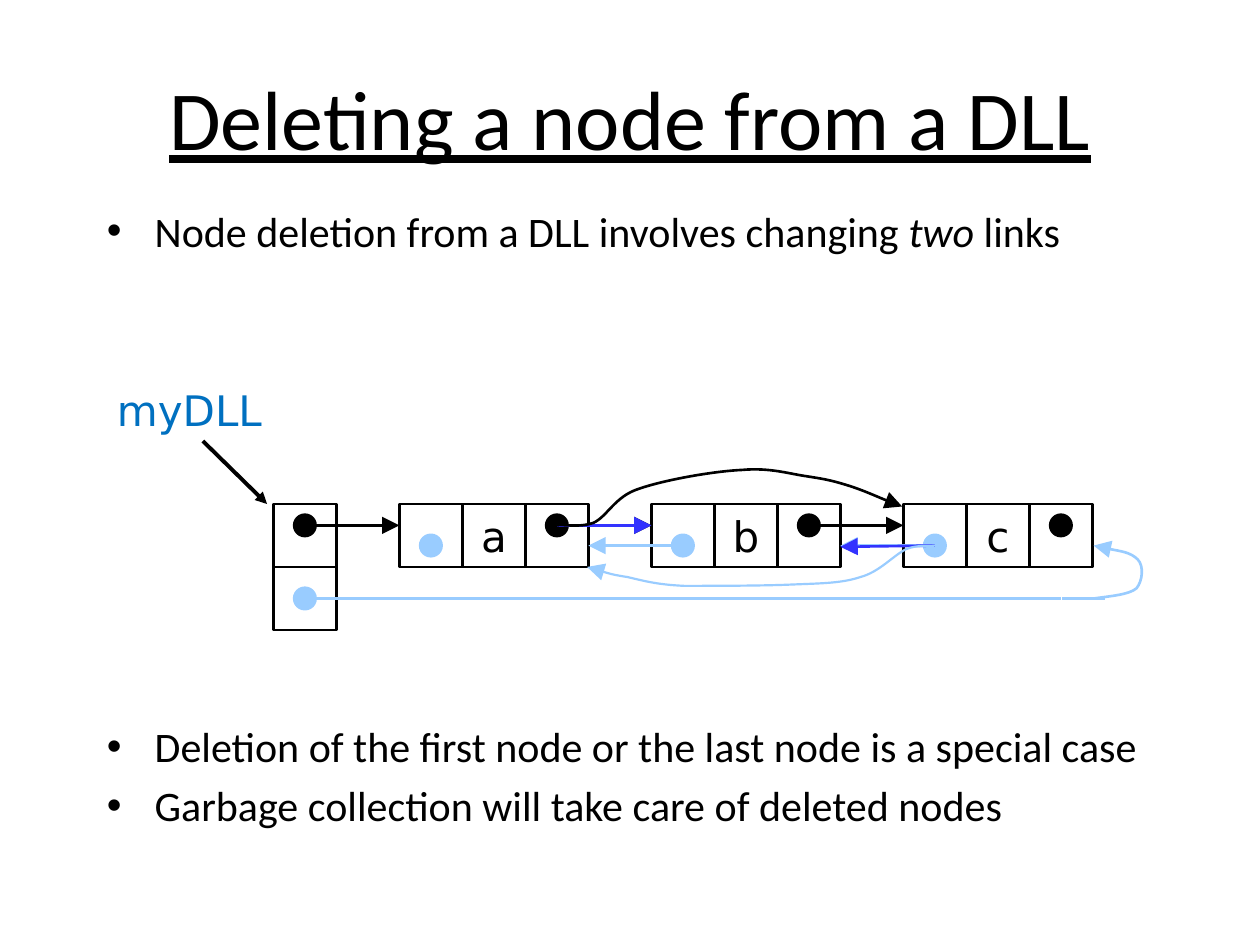
from dataclasses import dataclass

from lxml.etree import SubElement
from pptx import Presentation
from pptx.dml.color import RGBColor
from pptx.enum.shapes import MSO_CONNECTOR, MSO_SHAPE
from pptx.enum.text import MSO_ANCHOR, PP_ALIGN
from pptx.oxml.ns import qn
from pptx.util import Inches, Pt

BLACK = RGBColor(0x00, 0x00, 0x00)
LABEL_BLUE = RGBColor(0x00, 0x70, 0xC0)
LIGHT_BLUE = RGBColor(0x99, 0xCC, 0xFF)
VIVID_BLUE = RGBColor(0x33, 0x33, 0xFF)
CELL, DOT = 0.5, 0.17
ROW = 4.0
NEXT_Y, PREV_Y, LAST_Y = 4.17, 4.33, 4.75
HEADER_X = 2.17
NODES = {"a": 3.17, "b": 5.17, "c": 7.17}

Point = tuple[float, float]


@dataclass
class Link:
    """A straight line, with an arrowhead of the given size if any."""
    start: Point
    end: Point
    color: RGBColor = BLACK
    width: float = 1.5
    head: str = "lg"


@dataclass
class Curve:
    """A chain of cubic Bezier segments ending in an arrowhead."""
    points: list[Point]
    color: RGBColor
    width: float = 1.5


@dataclass
class TextBlock:
    """A text box whose paragraphs are lists of (text, italic) runs."""
    box: tuple[float, float, float, float]
    paragraphs: list[list[tuple[str, bool]]]
    font: dict
    bullet: bool = False
    align: PP_ALIGN = PP_ALIGN.LEFT
    anchor: MSO_ANCHOR = MSO_ANCHOR.TOP


BODY = {"name": "Calibri", "size": Pt(24)}
LETTER = {"name": "DejaVu Sans", "size": Pt(24)}

TEXTS = [
    TextBlock((0.5, 0.3, 9, 1.25), [[("Deleting a node from a DLL", False)]],
              {"name": "Calibri", "size": Pt(48), "underline": True},
              align=PP_ALIGN.CENTER, anchor=MSO_ANCHOR.MIDDLE),
    TextBlock((0.75, 1.58, 8.5, 0.68),
              [[("Node deletion from a DLL involves changing ", False),
                ("two", True), (" links", False)]], BODY, bullet=True),
    TextBlock((0.75, 5.67, 8.5, 1.33),
              [[("Deletion of the first node or the last node is a special case", False)],
               [("Garbage collection will take care of deleted nodes", False)]],
              BODY, bullet=True),
]
NAME = TextBlock((0.83, 3, 1.42, 0.5), [[("myDLL", False)]], LETTER)

LINKS = [
    Link((1.61, 3.5), (2.12, 4), width=2.25, head="med"),
    Link((2.42, NEXT_Y), (3.17, NEXT_Y)),
    Link((4.42, NEXT_Y), (5.17, NEXT_Y)),
    Link((6.42, NEXT_Y), (7.17, NEXT_Y)),
    Link((5.42, PREV_Y), (4.67, PREV_Y), LIGHT_BLUE),
    Link((7.42, PREV_Y), (6.67, PREV_Y), LIGHT_BLUE),
    Link((2.42, LAST_Y), (5.92, LAST_Y), LIGHT_BLUE, head=""),
    Link((5.92, LAST_Y), (8.42, LAST_Y), LIGHT_BLUE, head=""),
    Link((8.77, LAST_Y), (8.43, LAST_Y), LIGHT_BLUE, head=""),
    Link((7.42, PREV_Y), (6.67, 4.34), VIVID_BLUE),
    Link((4.42, NEXT_Y), (5.17, NEXT_Y), VIVID_BLUE),
]

CURVES = [
    Curve([(8.68, 4.75), (8.82, 4.73), (8.96, 4.72), (9.02, 4.67),
           (9.07, 4.61), (9.08, 4.49), (9.03, 4.44),
           (8.97, 4.38), (8.76, 4.35), (8.68, 4.33)], LIGHT_BLUE),
    Curve([(4.42, 4.17), (4.47, 4.16), (4.6, 4.19), (4.71, 4.15),
           (4.82, 4.1), (4.88, 3.94), (5.07, 3.88),
           (5.27, 3.81), (5.66, 3.74), (5.89, 3.73),
           (6.11, 3.71), (6.26, 3.76), (6.4, 3.78),
           (6.53, 3.8), (6.59, 3.81), (6.72, 3.85),
           (6.85, 3.89), (7.07, 3.99), (7.16, 4.02)], BLACK),
    Curve([(7.42, 4.33), (7.38, 4.34), (7.28, 4.32), (7.19, 4.36),
           (7.09, 4.41), (6.98, 4.54), (6.83, 4.58),
           (6.68, 4.63), (6.52, 4.63), (6.28, 4.64),
           (6.05, 4.65), (5.64, 4.65), (5.43, 4.65),
           (5.21, 4.64), (5.11, 4.61), (4.98, 4.58),
           (4.85, 4.56), (4.72, 4.52), (4.66, 4.5)], LIGHT_BLUE, 1.25),
]


def add_run(p, text: str, font: dict, color: RGBColor) -> None:
    r = p.add_run()
    r.text = text
    for name, value in font.items():
        setattr(r.font, name, value)
    r.font.color.rgb = color


def add_text(shapes, block: TextBlock, color: RGBColor = BLACK) -> None:
    tf = shapes.add_textbox(*map(Inches, block.box)).text_frame
    tf.word_wrap = True
    tf.vertical_anchor = block.anchor
    for i, runs in enumerate(block.paragraphs):
        p = tf.paragraphs[0] if i == 0 else tf.add_paragraph()
        p.alignment = block.align
        if block.bullet:
            p.space_before = Pt(4.8)
            pPr = p._p.get_or_add_pPr()
            pPr.set("marL", str(Inches(0.38)))
            pPr.set("indent", str(Inches(-0.38)))
            SubElement(pPr, qn("a:buFont"), typeface="Arial")
            SubElement(pPr, qn("a:buChar"), char="•")
        for text, italic in runs:
            add_run(p, text, block.font | {"italic": italic}, color)


def set_line(s, color: RGBColor, width: float, head: str = "") -> None:
    s.line.color.rgb = color
    s.line.width = Pt(width)
    if head:
        SubElement(s.line._get_or_add_ln(), qn("a:tailEnd"),
                   type="triangle", w=head, len=head)


def add_cell(shapes, x: float, y: float, letter: str = "") -> None:
    s = shapes.add_shape(MSO_SHAPE.RECTANGLE, *map(Inches, (x, y, CELL, CELL)))
    s.shadow.inherit = False
    s.fill.background()
    set_line(s, BLACK, 1 if letter else 1.5)
    if letter:
        tf = s.text_frame
        tf.word_wrap = False
        tf.vertical_anchor = MSO_ANCHOR.MIDDLE
        tf.paragraphs[0].alignment = PP_ALIGN.CENTER
        add_run(tf.paragraphs[0], letter, LETTER, BLACK)


def add_dot(shapes, x: float, y: float, color: RGBColor) -> None:
    s = shapes.add_shape(MSO_SHAPE.OVAL, Inches(x - DOT / 2), Inches(y - DOT / 2),
                         Inches(DOT), Inches(DOT))
    s.shadow.inherit = False
    s.fill.solid()
    s.fill.fore_color.rgb = color
    set_line(s, color, 1.5)


def add_link(shapes, link: Link) -> None:
    s = shapes.add_connector(MSO_CONNECTOR.STRAIGHT,
                             *map(Inches, link.start + link.end))
    set_line(s, link.color, link.width, link.head)
    SubElement(s._element.spPr, qn("a:effectLst"))


def add_curve(shapes, curve: Curve) -> None:
    start, *rest = [(Inches(x), Inches(y)) for x, y in curve.points]
    builder = shapes.build_freeform(*start)
    builder.add_line_segments(rest, close=False)
    s = builder.convert_to_shape()
    s.shadow.inherit = False
    s.fill.background()
    set_line(s, curve.color, curve.width, "lg")
    outline = next(s._element.iter(qn("a:path")))
    steps = outline.findall(qn("a:lnTo"))
    for i in range(0, len(steps), 3):
        bezier = SubElement(outline, qn("a:cubicBezTo"))
        for step in steps[i:i + 3]:
            bezier.append(step[0])
            outline.remove(step)


def main() -> None:
    prs = Presentation()
    prs.slide_width, prs.slide_height = Inches(10), Inches(7.5)
    shapes = prs.slides.add_slide(prs.slide_layouts[6]).shapes
    for block in TEXTS:
        add_text(shapes, block)
    add_text(shapes, NAME, LABEL_BLUE)
    for y, dot_y, color in ((ROW, NEXT_Y, BLACK), (ROW + CELL, LAST_Y, LIGHT_BLUE)):
        add_cell(shapes, HEADER_X, y)
        add_dot(shapes, HEADER_X + CELL / 2, dot_y, color)
    for letter, x in NODES.items():
        for i in range(3):
            add_cell(shapes, x + i * CELL, ROW)
        add_cell(shapes, x + CELL, ROW, letter)
        add_dot(shapes, x + CELL / 2, PREV_Y, LIGHT_BLUE)
        add_dot(shapes, x + 2.5 * CELL, NEXT_Y, BLACK)
    for link in LINKS:
        add_link(shapes, link)
    for curve in CURVES:
        add_curve(shapes, curve)
    prs.save("out.pptx")


if __name__ == "__main__":
    main()
